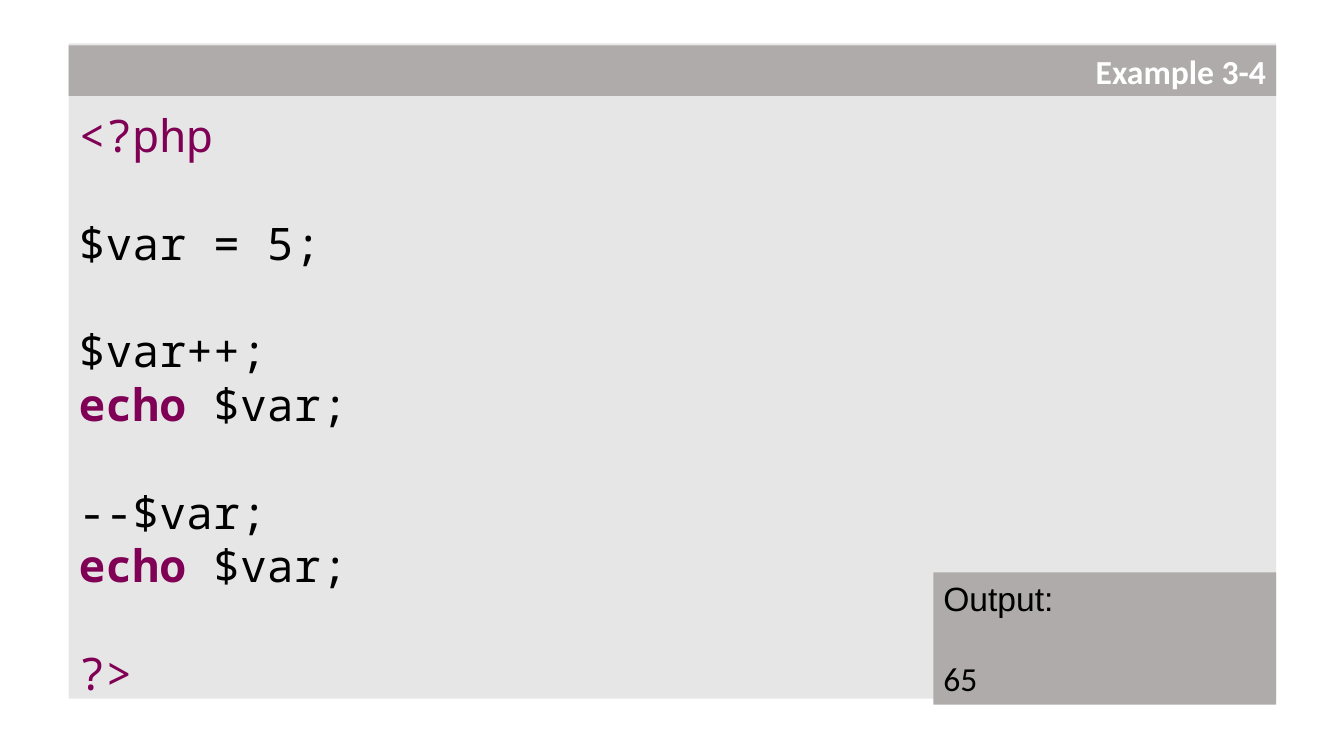
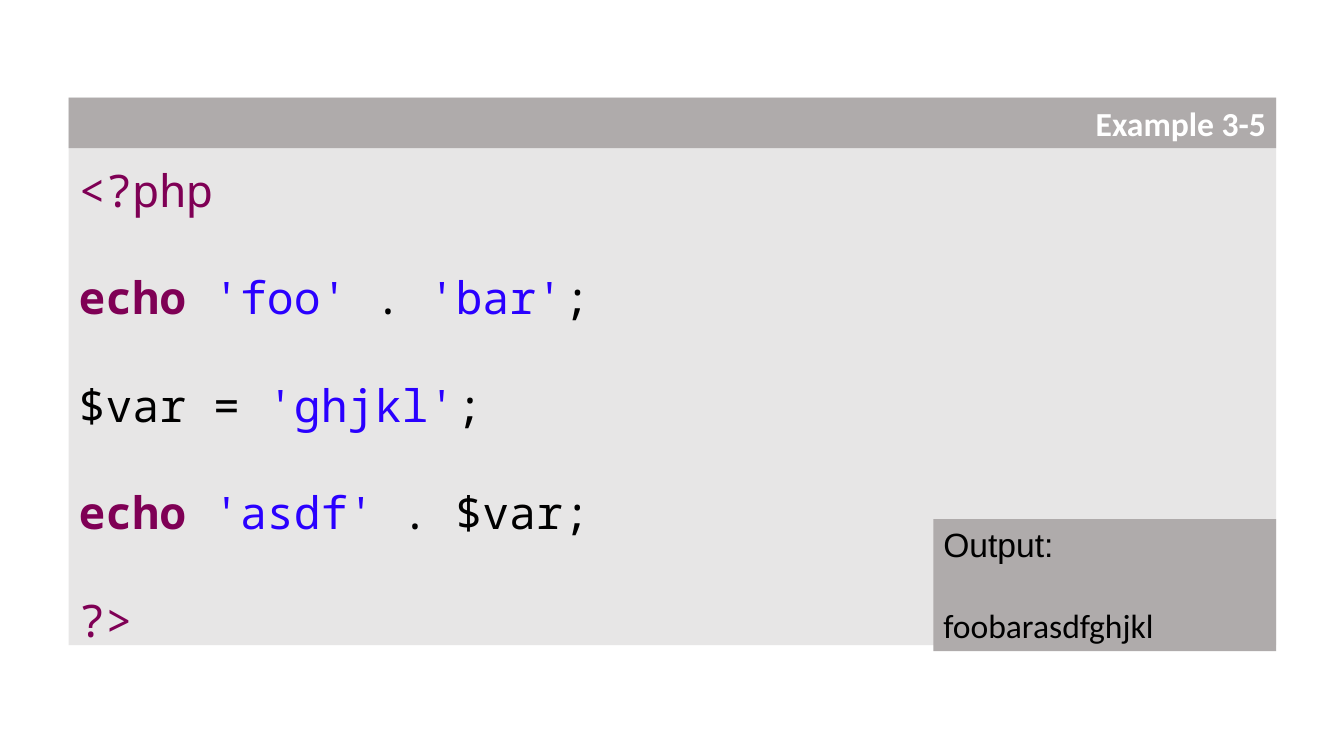
from pptx import Presentation
from pptx.dml.color import RGBColor
from pptx.enum.text import MSO_ANCHOR, MSO_AUTO_SIZE, PP_ALIGN
from pptx.oxml.ns import qn
from pptx.util import Inches, Pt
from lxml.etree import SubElement

deck = Presentation()
deck.slide_width, deck.slide_height = Inches(13.33), Inches(7.5)
COL, ROW = deck.slide_width / 100, deck.slide_height / 100

LEFT, WIDE = 5.1, 89.85
BAND = 6.67
OUT_WIDE, OUT_TALL, DROP = 25.5, 17.47, 0.8
PALE, GREY, WHITE = "E7E6E6", "AFABAB", "FFFFFF"
BLACK, PLUM, BLUE = "000000", "7F0055", "2A00FF"
MONO, SANS, ARIAL = "Noto Sans Mono", "Calibri", "Arial"
LINE = Pt(38.4)


def panel(box, left, top, wide, tall, fill):
    box.left, box.top = int(left * COL), int(top * ROW)
    box.width, box.height = int(wide * COL), int(tall * ROW)
    box.fill.solid()
    box.fill.fore_color.rgb = RGBColor.from_string(fill)
    frame = box.text_frame
    frame.word_wrap = True
    frame.auto_size = MSO_AUTO_SIZE.NONE
    return frame


def write(para, text, size, face, color, bold=False):
    run = para.add_run()
    run.text = text
    font = run.font
    font.size, font.name, font.bold = Pt(size), face, bold
    font.color.rgb = RGBColor.from_string(color)


OPEN = (0, [("<?php", PLUM)])
CLOSE = (1, [("?>", PLUM)])
ECHO = ("echo", PLUM, True)
SHOW = (0, [ECHO, (" $var;", BLACK)])

pages = [
    ("Example 3-4", 5.73, 86.67, 6, "65", [
        OPEN,
        (1, [("$var = 5;", BLACK)]),
        (1, [("$var++;", BLACK)]),
        SHOW,
        (1, [("--$var;", BLACK)]),
        SHOW,
        CLOSE,
    ]),
    ("Example 3-5", 12.93, 72.4, 12.93, "foobarasdfghjkl", [
        OPEN,
        (1, [ECHO, (" 'foo'", BLUE), (" . ", BLACK), ("'bar'", BLUE), (";", BLACK)]),
        (1, [("$var = ", BLACK), ("'ghjkl'", BLUE), (";", BLACK)]),
        (1, [ECHO, (" 'asdf'", BLUE), (" . $var;", BLACK)]),
        CLOSE,
    ]),
]

for name, top, tall, head, result, code in pages:
    slide = deck.slides.add_slide(deck.slide_layouts[1])
    title, body = slide.shapes.title, slide.placeholders[1]
    title._element.addprevious(body._element)

    frame = panel(body, LEFT, top, WIDE, tall, PALE)
    frame.vertical_anchor = MSO_ANCHOR.TOP
    frame.margin_top = Inches(0.64)
    frame.margin_bottom = 0
    for row, (gap, runs) in enumerate(code):
        para = frame.add_paragraph() if row else frame.paragraphs[0]
        props = para._p.get_or_add_pPr()
        props.set("marL", "0")
        props.set("indent", "0")
        SubElement(props, qn("a:buNone"))
        para.line_spacing = LINE
        para.space_before = LINE * gap
        for text, color, *bold in runs:
            write(para, text, 32, MONO, color, bool(bold))

    side = LEFT + WIDE - OUT_WIDE
    box = slide.shapes.add_textbox(0, 0, 0, 0)
    frame = panel(box, side, top + tall + DROP - OUT_TALL, OUT_WIDE, OUT_TALL, GREY)
    write(frame.paragraphs[0], "Output:", 24, ARIAL, BLACK)
    para = frame.add_paragraph()
    para.space_before = Pt(29)
    write(para, result, 24, SANS, BLACK)

    frame = panel(title, LEFT, head, WIDE, BAND, GREY)
    frame.vertical_anchor = MSO_ANCHOR.MIDDLE
    para = frame.paragraphs[0]
    para.alignment = PP_ALIGN.RIGHT
    write(para, name, 24, SANS, WHITE, True)

deck.save("out.pptx")
